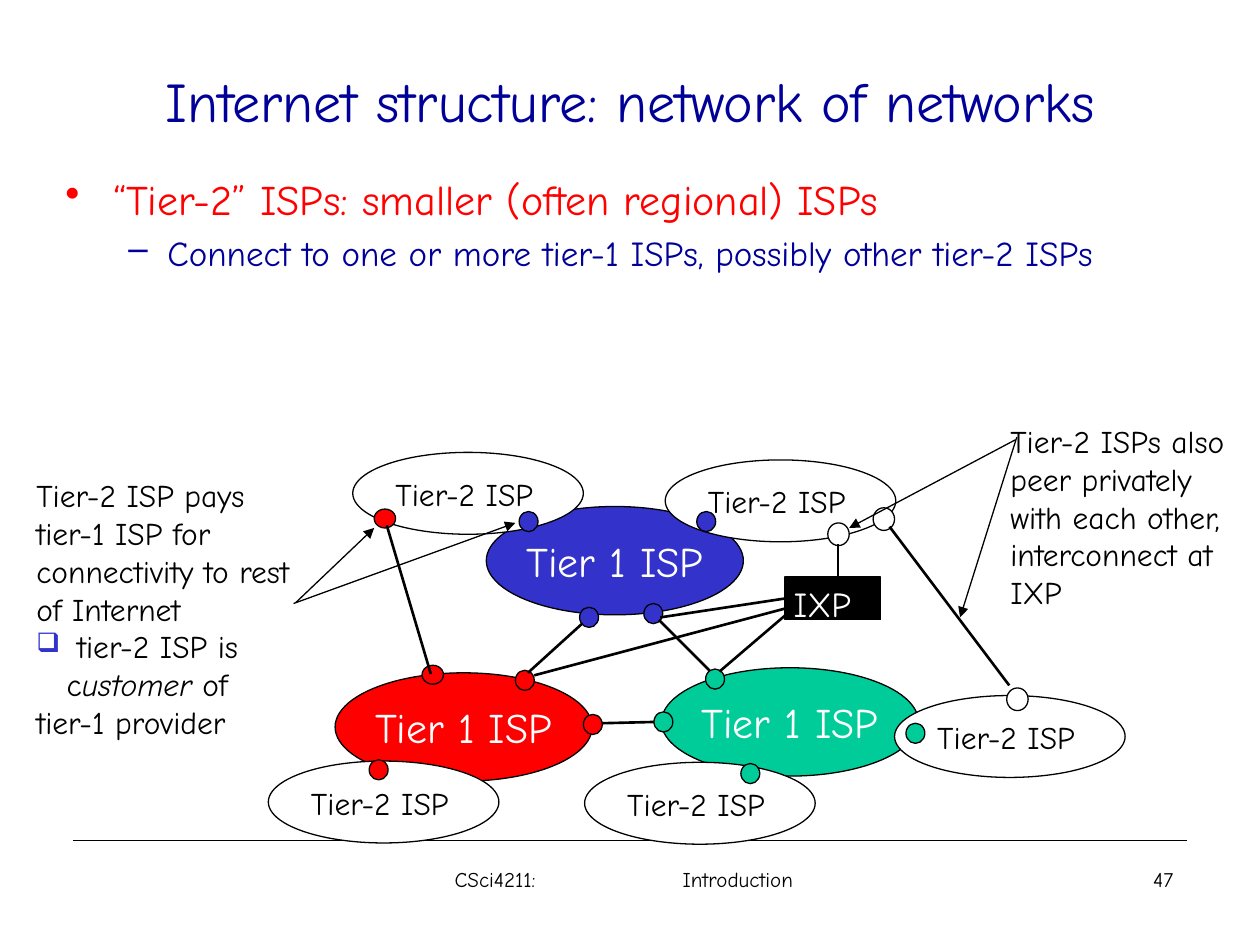
from lxml.etree import SubElement
from pptx import Presentation
from pptx.dml.color import RGBColor
from pptx.enum.shapes import MSO_CONNECTOR, MSO_SHAPE
from pptx.enum.text import MSO_ANCHOR, PP_ALIGN
from pptx.oxml.ns import qn
from pptx.util import Pt

PX = 9144
FONT = "Comic Neue"
BLACK = RGBColor(0, 0, 0)
WHITE = RGBColor(255, 255, 255)
NAVY = RGBColor(0, 0, 0x99)
RED = RGBColor(255, 0, 0)
BLUE = RGBColor(0x33, 0x33, 0xCC)
GREEN = RGBColor(0, 0xCC, 0x99)

TITLE = "Internet structure: network of networks"
BULLETS = [("“Tier-2” ISPs: smaller (often regional) ISPs", "•", 24, RED, 38, 38),
           ("Connect to one or more tier-1 ISPs, possibly other tier-2 ISPs", "–", 20, NAVY, 81, 31)]
PAYS = "Tier-2 ISP pays tier-1 ISP for connectivity to rest of Internet"
CUSTOMER = [(" tier-2 ISP is c", False), ("ustomer", True), (" of", False)]
PROVIDER = "tier-1 provider"
PEERS = "Tier-2 ISPs also peer privately with each other, interconnect at IXP"

TIER1 = [(266, 534, RED), (386, 402, BLUE), (525, 530, GREEN)]
TIER2 = [(528, 365), (280, 359), (213, 604), (464, 605), (710, 552)]
DOTS = [
    (15, 16, BLUE, [(511, 479), (460, 482), (553, 406), (412, 406)]),
    (15, 16, RED, [(409, 532), (463, 567), (293, 603)]),
    (15, 16, GREEN, [(560, 531), (519, 565), (588, 606), (719, 574)]),
    (17, 15, RED, [(297, 404), (335, 528)]),
    (17, 18, WHITE, [(693, 403), (799, 546), (657, 415)]),
]
LINKS = [(478, 574, 519, 573), (523, 492, 563, 532), (419, 534, 462, 495),
         (626, 486, 571, 533), (623, 483, 424, 536), (307, 417, 342, 535),
         (706, 418, 801, 544)]
ARROWS = [(233, 479, 409, 415), (235, 478, 297, 419),
          (807, 347, 762, 490), (806, 349, 674, 419)]

prs = Presentation()
prs.slide_width, prs.slide_height = 1000 * PX, 750 * PX
s = prs.slides.add_slide(prs.slide_layouts[6])


def emu(*lengths):
    return [v * PX for v in lengths]


def style(p, text, size, color, align=PP_ALIGN.LEFT):
    for t, italic in [(text, None)] if isinstance(text, str) else text:
        r = p.add_run()
        r.text = t
        if italic:
            r.font.italic = True
    p.alignment = align
    p.font.name, p.font.size = FONT, Pt(size)
    p.font.color.rgb = color


def bullet(p, char, margin, hang, color=None, percent=None):
    pPr = p.font._element.getparent()
    pPr.set("marL", str(margin * PX))
    pPr.set("indent", str(-hang * PX))
    items = []
    if color is not None:
        clr = pPr.makeelement(qn("a:buClr"), {})
        SubElement(clr, qn("a:srgbClr"), val=str(color))
        items.append(clr)
    if percent:
        items.append(pPr.makeelement(qn("a:buSzPct"), {"val": str(percent * 1000)}))
    items.append(pPr.makeelement(qn("a:buChar"), {"char": char}))
    for item in items:
        p.font._element.addprevious(item)


def box(x, y, w, h, wrap=True):
    tf = s.shapes.add_textbox(*emu(x, y, w, h)).text_frame
    tf.word_wrap = wrap
    return tf


def shape(kind, x, y, w, h, fill):
    sp = s.shapes.add_shape(kind, *emu(x, y, w, h))
    sp.shadow.inherit = False
    sp.fill.solid()
    sp.fill.fore_color.rgb = fill
    sp.line.color.rgb, sp.line.width = BLACK, Pt(0.75)
    return sp


def line(ends, width=0.75, arrow=False):
    c = s.shapes.add_connector(MSO_CONNECTOR.STRAIGHT, *emu(*ends))
    c.line.color.rgb, c.line.width = BLACK, Pt(width)
    SubElement(c._element.spPr, qn("a:effectLst"))
    if arrow:
        SubElement(c.line._get_or_add_ln(), qn("a:tailEnd"), type="triangle")
    return c


line((58, 667, 942, 667))

tf = box(58, 17, 885, 125)
tf.vertical_anchor = MSO_ANCHOR.MIDDLE
style(tf.paragraphs[0], TITLE, 32, NAVY, PP_ALIGN.CENTER)

tf = box(42, 133, 923, 100)
for i, (text, char, size, color, margin, hang) in enumerate(BULLETS):
    p = tf.add_paragraph() if i else tf.paragraphs[0]
    p.level = i
    style(p, text, size, color)
    p.space_before = Pt(size * 0.2)
    bullet(p, char, margin, hang)

for x, y, color in TIER1:
    tf = shape(MSO_SHAPE.OVAL, x, y, 204, 86, color).text_frame
    tf.word_wrap = False
    tf.vertical_anchor = MSO_ANCHOR.MIDDLE
    style(tf.paragraphs[0], "Tier 1 ISP", 24, WHITE, PP_ALIGN.CENTER)

for x, y in TIER2:
    shape(MSO_SHAPE.OVAL, x, y, 183, 65, WHITE)
    style(box(x + 24, y + 13, 147, 40, False).paragraphs[0], "Tier-2 ISP", 18, BLACK)

for w, h, color, places in DOTS:
    for x, y in places:
        shape(MSO_SHAPE.OVAL, x, y, w, h, color)

for ends in LINKS:
    line(ends, 1.5)
ixp = shape(MSO_SHAPE.RECTANGLE, 623, 458, 76, 34, BLACK)
style(box(620, 457, 70, 43, False).paragraphs[0], "IXP", 20, WHITE)
line((623, 475, 524, 490), 1.5).begin_connect(ixp, 1)
line((665, 432, 665, 458))

tf = box(19, 373, 224, 220)
style(tf.paragraphs[0], PAYS, 18, BLACK)
p = tf.add_paragraph()
style(p, CUSTOMER, 18, BLACK)
bullet(p, "❑", 24, 24, BLUE, 85)
style(tf.add_paragraph(), PROVIDER, 18, BLACK)
style(box(792, 330, 197, 190).paragraphs[0], PEERS, 18, BLACK)
for ends in ARROWS:
    line(ends, arrow=True)

p = box(351, 683, 307, 50).paragraphs[0]
style(p, "CSci4211:\tIntroduction", 12, BLACK)
tabs = p.font._element.makeelement(qn("a:tabLst"), {})
SubElement(tabs, qn("a:tab"), pos=str(181 * PX), algn="l")
p.font._element.addprevious(tabs)
style(box(733, 683, 208, 50).paragraphs[0], "47", 12, BLACK, PP_ALIGN.RIGHT)

prs.save("out.pptx")
